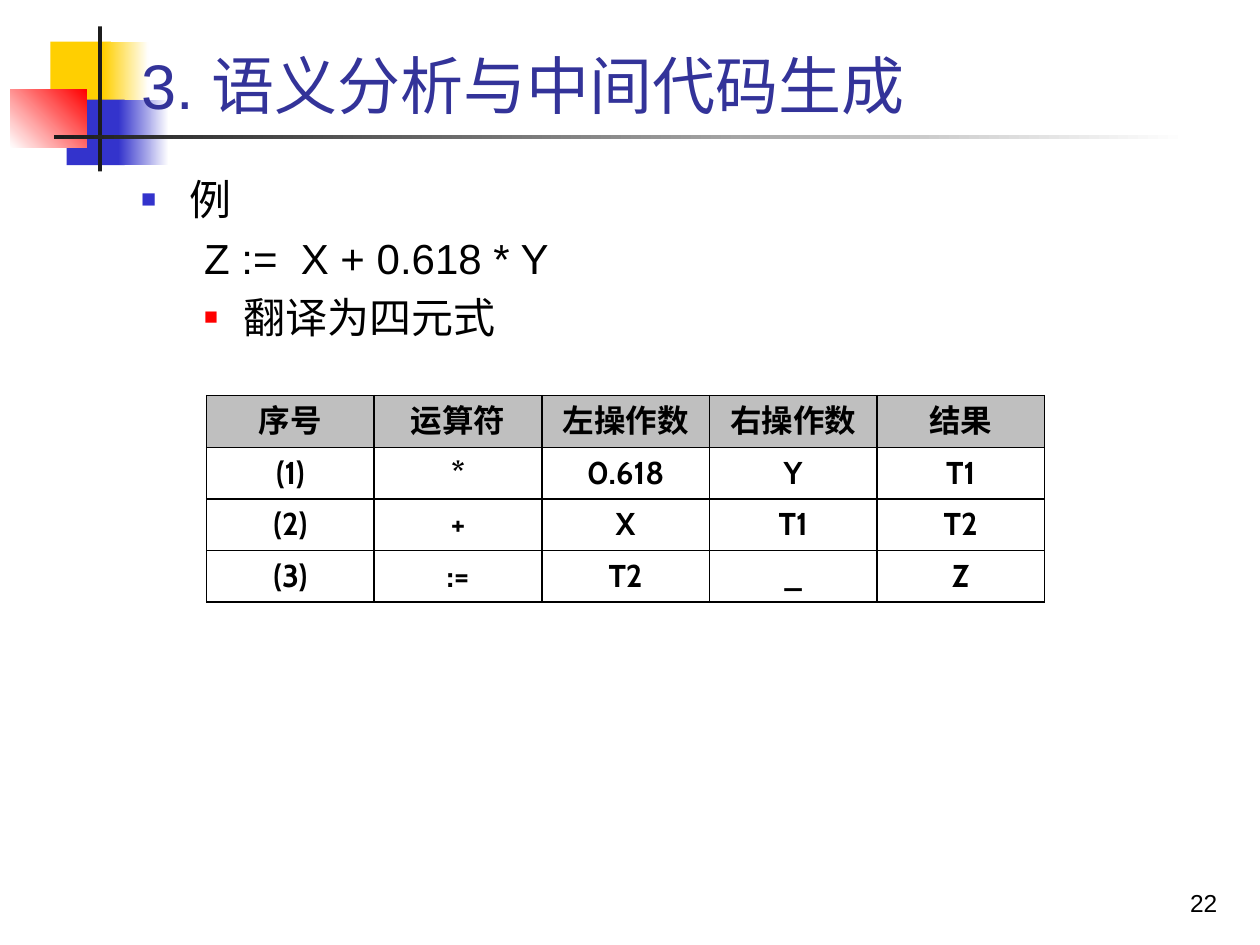
from lxml import etree
from pptx import Presentation
from pptx.dml.color import RGBColor
from pptx.enum import shapes, text
from pptx.oxml import ns
from pptx.util import Inches, Pt

BLACK = RGBColor(0x00, 0x00, 0x00)
WHITE = RGBColor(0xFF, 0xFF, 0xFF)
CHARCOAL = RGBColor(0x1C, 0x1C, 0x1C)
GOLD = RGBColor(0xFF, 0xCF, 0x01)
BLUE = RGBColor(0x33, 0x33, 0xCC)
RED = RGBColor(0xFF, 0x00, 0x00)
NAVY = RGBColor(0x33, 0x33, 0x99)
GREY = RGBColor(0xBF, 0xBF, 0xBF)
ARIAL, NOTO, CABIN = "Arial", "Noto Sans CJK SC", "Cabin"

TITLE = [("3. 语义分析与", ARIAL), ("中间代码生成", NOTO)]
# text, font, level, left margin, hanging indent, space before, bullet (colour, size %)
BODY = [
    ("例", NOTO, 0, 0.38, 0.38, 12, (BLUE, 60)),
    ("Z :=  X + 0.618 * Y", ARIAL, 1, 0.81, 0.31, 4.8, None),
    ("翻译为四元式", ARIAL, 1, 0.81, 0.31, 4.8, (RED, 55)),
]
QUADRUPLES = [
    ("序号", "运算符", "左操作数", "右操作数", "结果"),
    ("(1)", "*", "0.618", "Y", "T1"),
    ("(2)", "+", "X", "T1", "T2"),
    ("(3)", ":=", "T2", "_", "Z"),
]
PAGE_NUMBER = "22"
# left, top, width, height, colours (two make a gradient), gradient angle
ORNAMENTS = [
    (0.4, 0.33, 0.48, 0.52, [GOLD], 0),
    (0.82, 0.33, 0.36, 0.52, [GOLD, WHITE], 0),
    (0.53, 0.79, 0.46, 0.52, [BLUE], 0),
    (0.94, 0.79, 0.4, 0.52, [BLUE, WHITE], 0),
    (0.08, 0.71, 0.61, 0.46, [WHITE, RED], 45),
    (0.78, 0.21, 0.03, 1.15, [CHARCOAL], 0),
    (0.43, 1.07, 9, 0.03, [CHARCOAL, WHITE], 0),
]
TABLE_LEFT, TABLE_TOP, COLUMN_WIDTH, ROW_HEIGHT = 1.64, 3.14, 1.33, 0.41


def sub(parent, tag, **attributes):
    return etree.SubElement(parent, ns.qn(tag), attributes)


def place(shape, left, top, width, height):
    shape.left, shape.top = Inches(left), Inches(top)
    shape.width, shape.height = Inches(width), Inches(height)


def set_frame(frame, anchor):
    settings = {"word_wrap": True, "auto_size": text.MSO_AUTO_SIZE.NONE,
                "vertical_anchor": anchor}
    for name, value in settings.items():
        setattr(frame, name, value)


def add_run(paragraph, words, font_name, size, color=BLACK, bold=False):
    """Add a run whose font also serves its Chinese characters."""
    run = paragraph.add_run()
    run.text = words
    for name, value in {"name": font_name, "size": Pt(size), "bold": bold}.items():
        setattr(run.font, name, value)
    run.font.color.rgb = color
    sub(run._r.get_or_add_rPr(), "a:ea", typeface=font_name)


def set_bullet(paragraph, bullet):
    properties = paragraph._p.get_or_add_pPr()
    if bullet is None:
        sub(properties, "a:buNone")
        return
    color, percent = bullet
    sub(sub(properties, "a:buClr"), "a:srgbClr", val=str(color))
    sub(properties, "a:buSzPct", val=str(percent * 1000))
    sub(properties, "a:buChar", char="■")


def add_ornament(slide, position, left, top, width, height, colors, angle):
    """Add a borderless block behind the placeholders."""
    block = slide.shapes.add_shape(
        shapes.MSO_SHAPE.RECTANGLE,
        Inches(left), Inches(top), Inches(width), Inches(height))
    block.shadow.inherit = False
    block.line.fill.background()
    if len(colors) == 1:
        block.fill.solid()
        block.fill.fore_color.rgb = colors[0]
    else:
        block.fill.gradient()
        block.fill.gradient_angle = angle
        for stop, color in zip(block.fill.gradient_stops, colors):
            stop.color.rgb = color
    slide.shapes._spTree.insert(2 + position, block._element)


def set_cell(cell, words, is_header):
    cell.vertical_anchor = text.MSO_ANCHOR.MIDDLE
    paragraph = cell.text_frame.paragraphs[0]
    paragraph.alignment = text.PP_ALIGN.CENTER
    add_run(paragraph, words, CABIN, 18, bold=True)
    properties = cell._tc.get_or_add_tcPr()
    for side in ("a:lnL", "a:lnR", "a:lnT", "a:lnB"):
        border = sub(properties, side, w=str(Pt(1)))
        sub(sub(border, "a:solidFill"), "a:srgbClr", val=str(BLACK))
    if is_header:
        cell.fill.solid()
        cell.fill.fore_color.rgb = GREY
    else:
        cell.fill.background()


def add_quadruples(slide):
    rows, columns = len(QUADRUPLES), len(QUADRUPLES[0])
    table = slide.shapes.add_table(
        rows, columns, Inches(TABLE_LEFT), Inches(TABLE_TOP),
        Inches(columns * COLUMN_WIDTH), Inches(rows * ROW_HEIGHT)).table
    table.horz_banding = False
    for r, row in enumerate(QUADRUPLES):
        for c, words in enumerate(row):
            set_cell(table.cell(r, c), words, r == 0)


def main():
    deck = Presentation()
    deck.slide_width, deck.slide_height = Inches(10), Inches(7.5)
    slide = deck.slides.add_slide(deck.slide_layouts[1])
    title, body = slide.placeholders

    for position, ornament in enumerate(ORNAMENTS):
        add_ornament(slide, position, *ornament)

    place(title, 1.02, 0.31, 8.75, 0.71)
    set_frame(title.text_frame, text.MSO_ANCHOR.BOTTOM)
    heading = title.text_frame.paragraphs[0]
    heading.alignment = text.PP_ALIGN.LEFT
    for words, font_name in TITLE:
        add_run(heading, words, font_name, 36, NAVY)

    place(body, 1.02, 1.33, 8.73, 5.47)
    set_frame(body.text_frame, text.MSO_ANCHOR.TOP)
    for i, (words, font_name, level, margin, hang, before, bullet) in enumerate(BODY):
        frame = body.text_frame
        paragraph = frame.add_paragraph() if i else frame.paragraphs[0]
        paragraph.level = level
        paragraph.alignment = text.PP_ALIGN.JUSTIFY
        paragraph.space_before = Pt(before)
        properties = paragraph._p.get_or_add_pPr()
        properties.set("marL", str(Inches(margin)))
        properties.set("indent", str(-Inches(hang)))
        set_bullet(paragraph, bullet)
        add_run(paragraph, words, font_name, 24)

    page = slide.shapes.add_textbox(
        Inches(7.68), Inches(6.83), Inches(2.08), Inches(0.5))
    set_frame(page.text_frame, text.MSO_ANCHOR.BOTTOM)
    number = page.text_frame.paragraphs[0]
    number.alignment = text.PP_ALIGN.RIGHT
    add_run(number, PAGE_NUMBER, ARIAL, 14)

    add_quadruples(slide)
    deck.save("out.pptx")


if __name__ == "__main__":
    main()
